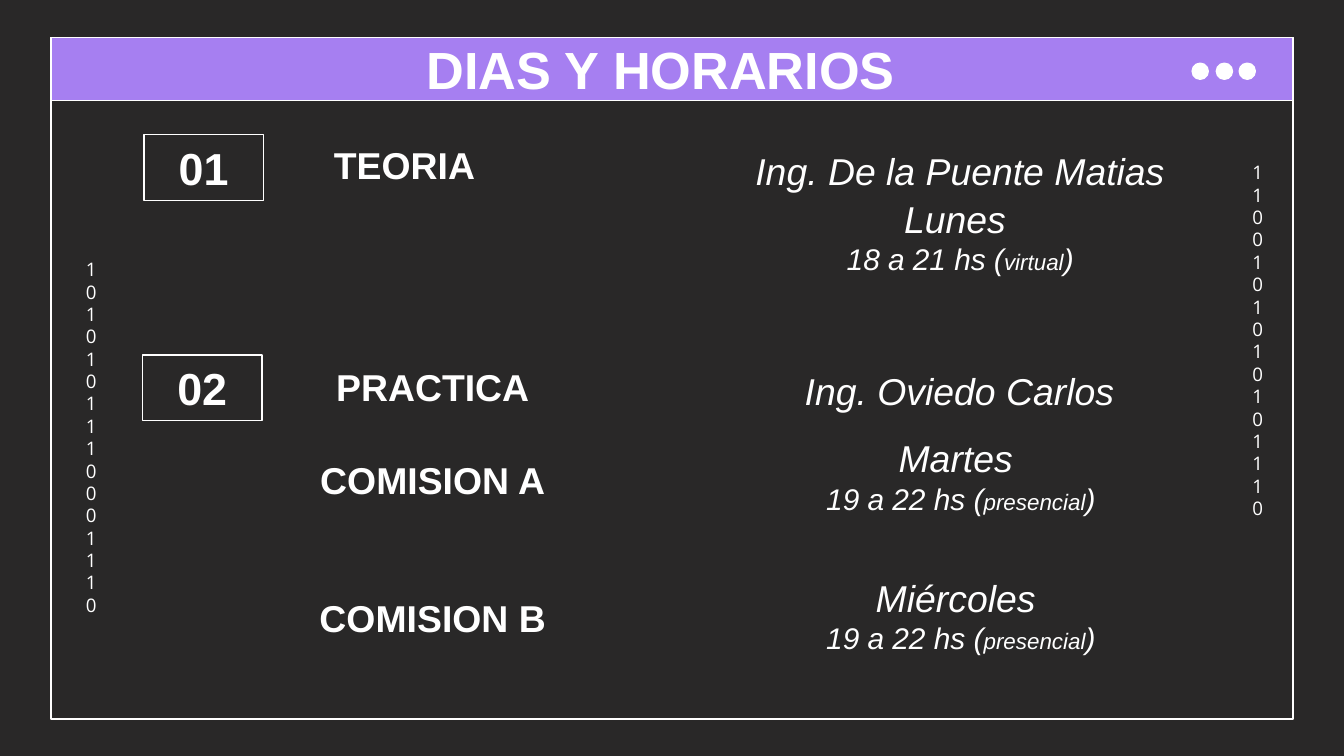
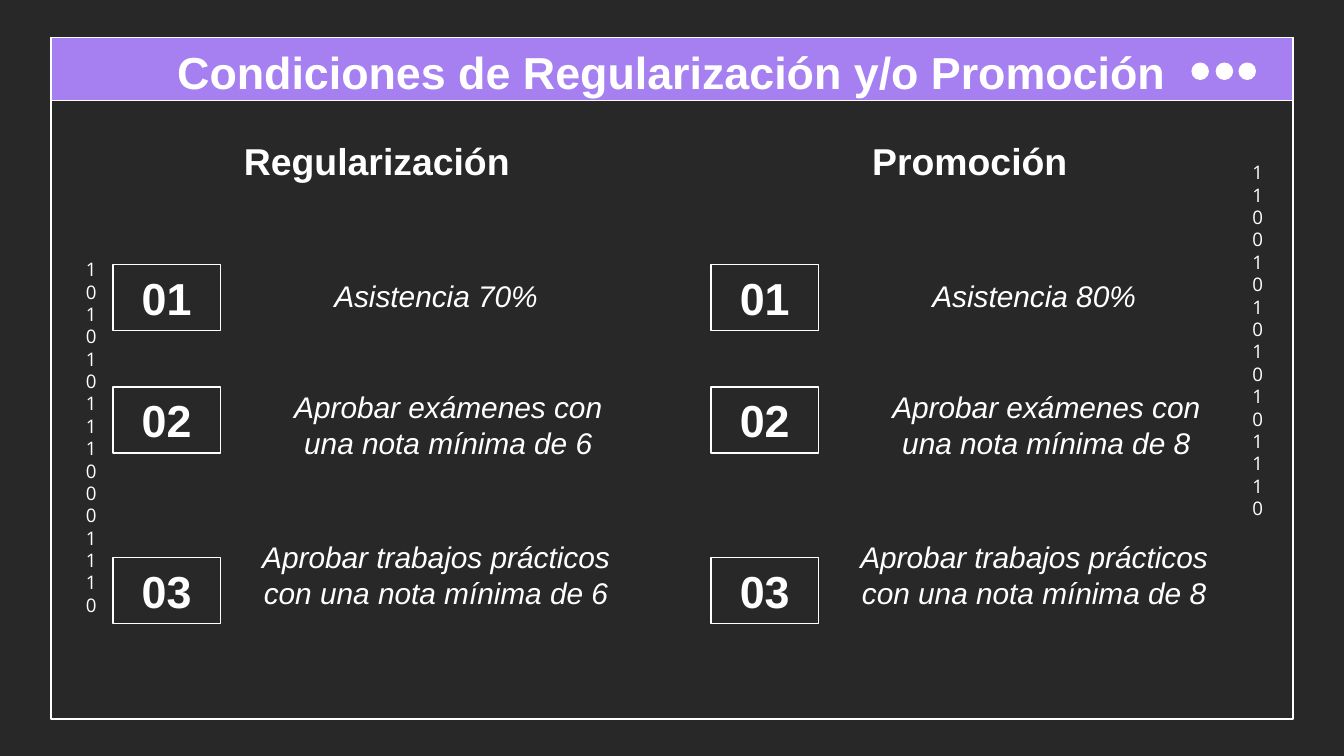
from dataclasses import dataclass
from typing import Optional

from pptx import Presentation
from pptx.dml.color import RGBColor
from pptx.enum.shapes import MSO_SHAPE
from pptx.enum.text import MSO_ANCHOR, MSO_AUTO_SIZE, PP_ALIGN
from pptx.shapes.autoshape import Shape
from pptx.slide import Slide
from pptx.util import Inches, Pt

DARK = RGBColor(0x29, 0x28, 0x28)
PURPLE = RGBColor(0xA6, 0x7F, 0xF1)
WHITE = RGBColor(0xFF, 0xFF, 0xFF)
HEADING_FONT = "Arial"
DIGIT_FONT = "Open Sans"


@dataclass(frozen=True)
class Box:
    left: float
    top: float
    width: float
    height: float

    def shifted(self, dx: float) -> "Box":
        return Box(self.left + dx, self.top, self.width, self.height)

    def lengths(self) -> tuple:
        return tuple(Inches(v) for v in (self.left, self.top, self.width, self.height))


@dataclass(frozen=True)
class Label:
    text: str
    box: Box


@dataclass(frozen=True)
class Session:
    day: str
    hours: str
    mode: str
    box: Box


@dataclass(frozen=True)
class Condition:
    number: str
    text: str
    badge_top: float
    box: Box


@dataclass(frozen=True)
class Track:
    name: str
    attendance: int
    grade: int
    offset: float


FRAME = Box(0.38, 0.28, 9.24, 5.07)
TITLE_BAND = Box(0.38, 0.28, 9.24, 0.47)
MENU_DOTS = [Box(left, 0.47, 0.12, 0.12) for left in (8.87, 9.05, 9.22)]
BINARY_COLUMNS = [
    Label("1100101010101110", Box(9.22, 1.1, 0.24, 2.8)),
    Label("101010111000111\n0", Box(0.54, 1.82, 0.24, 2.8)),
]

SECTION_BADGES = [
    Label("01", Box(1.07, 1, 0.89, 0.49)),
    Label("02", Box(1.06, 2.64, 0.89, 0.49)),
]
SECTIONS = [
    Label("TEORIA", Box(2.18, 0.96, 1.66, 0.56)),
    Label("PRACTICA", Box(2.39, 2.61, 1.66, 0.56)),
    Label("COMISION A", Box(2.23, 3.3, 1.98, 0.56)),
    Label("COMISION B", Box(2.26, 4.33, 1.92, 0.56)),
]
TEACHERS = [
    Label("Ing. De la Puente Matias", Box(5.18, 1, 3.93, 0.49)),
    Label("Ing. Oviedo Carlos", Box(5.59, 2.64, 3.1, 0.49)),
]
SESSIONS = [
    Session("Lunes ", "18 a 21 hs", "virtual", Box(6.11, 1.41, 2.07, 0.71)),
    Session("Martes ", "19 a 22 hs", "presencial", Box(5.91, 3.19, 2.48, 0.71)),
    Session("Miércoles ", "19 a 22 hs", "presencial", Box(5.91, 4.23, 2.48, 0.71)),
]

TRACKS = [
    Track("Regularización", 70, 6, 0),
    Track("Promoción ", 80, 8, 4.45),
]
TRACK_HEADING = Box(1.41, 0.93, 2.79, 0.56)
CONDITIONS = [
    Condition("01", "Asistencia {attendance}%", 1.97, Box(1.81, 1.97, 2.87, 0.63)),
    Condition("02", "Aprobar exámenes con una nota mínima de {grade}", 2.88,
              Box(1.91, 2.79, 2.85, 0.67)),
    Condition("03", "Aprobar trabajos prácticos con una nota mínima de {grade}", 4.15,
              Box(1.81, 3.91, 2.87, 0.98)),
]


def write_text(shape: Shape, text: str, *, size: float = 20, font: str = HEADING_FONT,
               bold: bool = False, italic: bool = False, inset: float = 0.1,
               anchor: MSO_ANCHOR = MSO_ANCHOR.TOP, wrap: bool = True,
               spacing: Optional[Pt] = None, second_line: tuple = ()) -> None:
    frame = shape.text_frame
    frame.word_wrap = wrap
    frame.vertical_anchor = anchor
    frame.margin_left = frame.margin_right = Inches(0.1)
    frame.margin_top = frame.margin_bottom = Inches(inset)
    for index, line in enumerate(text.split("\n")):
        paragraph = frame.add_paragraph() if index else frame.paragraphs[0]
        paragraph.alignment = PP_ALIGN.CENTER
        paragraph.line_spacing = spacing
        pieces = [(line, size), *second_line]
        for position, (words, points) in enumerate(pieces):
            if position == 1:
                paragraph.add_line_break()
            run = paragraph.add_run()
            run.text = words
            run.font.name = font
            run.font.size = Pt(points)
            run.font.bold = bold
            run.font.italic = italic
            run.font.color.rgb = WHITE


def add_label(slide: Slide, text: str, box: Box, **style) -> Shape:
    label = slide.shapes.add_textbox(*box.lengths())
    write_text(label, text, **style)
    return label


def add_outline(slide: Slide, box: Box, kind: MSO_SHAPE = MSO_SHAPE.RECTANGLE,
                fill: Optional[RGBColor] = None) -> Shape:
    shape = slide.shapes.add_shape(kind, *box.lengths())
    shape.shadow.inherit = False
    if fill is None:
        shape.fill.background()
    else:
        shape.fill.solid()
        shape.fill.fore_color.rgb = fill
    shape.line.color.rgb = WHITE
    shape.line.width = Pt(0.75)
    return shape


def add_badge(slide: Slide, number: str, box: Box, fill: Optional[RGBColor] = None) -> None:
    badge = add_outline(slide, box, fill=fill)
    write_text(badge, number, size=24, bold=True, anchor=MSO_ANCHOR.MIDDLE)


def add_window(deck: Presentation, title: str, box: Box, size: float) -> Slide:
    slide = deck.slides.add_slide(deck.slide_layouts[6])
    slide.background.fill.solid()
    slide.background.fill.fore_color.rgb = DARK
    add_outline(slide, FRAME)
    add_outline(slide, TITLE_BAND, fill=PURPLE)
    for dot in MENU_DOTS:
        add_outline(slide, dot, MSO_SHAPE.OVAL, WHITE)
    for column in BINARY_COLUMNS:
        add_label(slide, column.text, column.box, size=10, font=DIGIT_FONT, spacing=Pt(12))
    add_label(slide, title, box, size=size, bold=True)
    return slide


def build_schedule(deck: Presentation) -> None:
    slide = add_window(deck, "DIAS Y HORARIOS", Box(0.7, 0.18, 8.43, 0.63), 28)
    for badge in SECTION_BADGES:
        add_badge(slide, badge.text, badge.box)
    for section in SECTIONS:
        add_label(slide, section.text, section.box, bold=True)
    for teacher in TEACHERS:
        add_label(slide, teacher.text, teacher.box, italic=True)
    for session in SESSIONS:
        details = ((f"{session.hours} (", 16), (session.mode, 12), (")", 16))
        label = add_label(slide, session.day, session.box, italic=True, inset=0.05,
                          wrap=False, second_line=details)
        label.text_frame.auto_size = MSO_AUTO_SIZE.SHAPE_TO_FIT_TEXT


def build_conditions(deck: Presentation) -> None:
    slide = add_window(deck, "Condiciones de Regularización y/o Promoción",
                       Box(0.36, 0.23, 9.27, 0.58), 24)
    for track in TRACKS:
        add_label(slide, track.name, TRACK_HEADING.shifted(track.offset), bold=True)
        for condition in CONDITIONS:
            badge_box = Box(0.84, condition.badge_top, 0.8, 0.49)
            add_badge(slide, condition.number, badge_box.shifted(track.offset), DARK)
            text = condition.text.format(attendance=track.attendance, grade=track.grade)
            add_label(slide, text, condition.box.shifted(track.offset), size=16, italic=True)


def main() -> None:
    deck = Presentation()
    deck.slide_width = Inches(10)
    deck.slide_height = Inches(10 * 9 / 16)
    build_schedule(deck)
    build_conditions(deck)
    deck.save("out.pptx")


if __name__ == "__main__":
    main()
